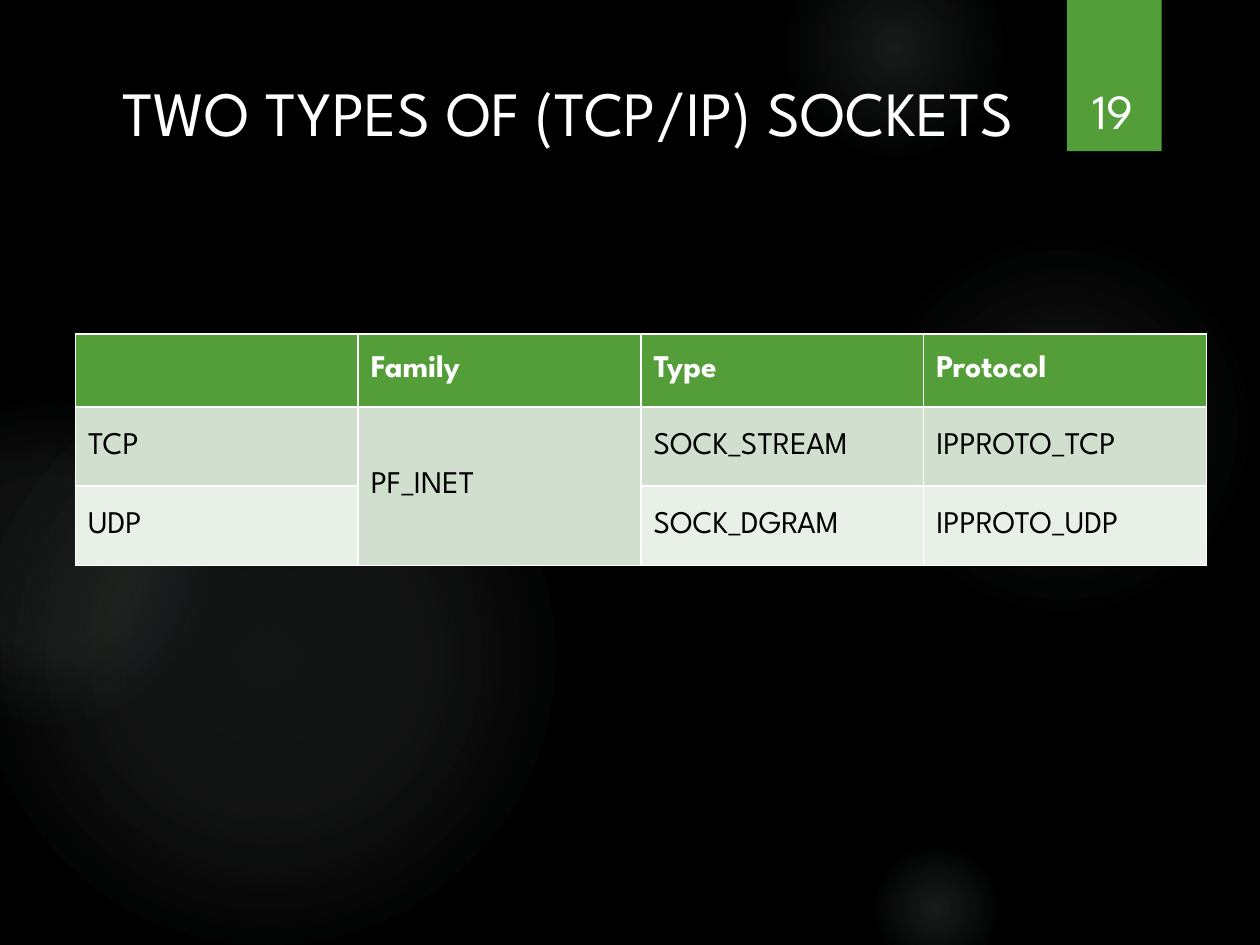
from lxml import etree
from pptx import Presentation
from pptx.dml.color import RGBColor
from pptx.enum.shapes import MSO_SHAPE
from pptx.enum.text import MSO_ANCHOR, PP_ALIGN
from pptx.oxml import parse_xml
from pptx.oxml.ns import nsdecls, qn
from pptx.util import Cm, Pt

# Content
TITLE = "TWO TYPES OF (TCP/IP) SOCKETS"
NUMBER = "19"
ROWS = [
    ["", "Family", "Type", "Protocol"],
    ["TCP", "PF_INET", "SOCK_STREAM", "IPPROTO_TCP"],
    ["UDP", "", "SOCK_DGRAM", "IPPROTO_UDP"],
]
# Glows: left, top, diameter in cm, then (position %, opacity %) stops
GLOWS = [
    (17.5, 4.65, 7.82, [(0, 7), (36, 6), (69, 0)]),
    (15.8, -1.27, 4.45, [(0, 14), (36, 7), (73, 0)]),
    (17.5, 16.94, 2.74, [(0, 14), (36, 7), (66, 0)]),
    (-0.43, 7.42, 11.63, [(0, 11), (36, 10), (75, 0)]),
    (-2.34, 8.05, 6.55, [(0, 8), (36, 8), (72, 0)]),
]

# Style
FONT = "League Spartan"
BLACK = RGBColor(0x00, 0x00, 0x00)
WHITE = RGBColor(0xFF, 0xFF, 0xFF)
GREEN = RGBColor(0x54, 0x9E, 0x39)
GLOW = RGBColor(0xAF, 0xC5, 0xB9)
ROW_FILLS = [GREEN, RGBColor(0xD1, 0xDF, 0xCE), RGBColor(0xE9, 0xF0, 0xE8)]
ROW_HEIGHTS = [1.47, 1.6, 1.6]
COL_WIDTH = 5.7


def add_run(tf, text, size, color, bold=False, align=None):
    p = tf.paragraphs[0]
    p.alignment = align
    r = p.add_run()
    r.text = text
    r.font.name, r.font.size, r.font.bold = FONT, Pt(size), bold
    r.font.color.rgb = color


def add_shape(slide, kind, *box):
    sp = slide.shapes.add_shape(kind, *map(Cm, box))
    sp.shadow.inherit = False
    sp.line.fill.background()
    return sp


def add_glow(slide, left, top, size, stops):
    sp = add_shape(slide, MSO_SHAPE.OVAL, left, top, size, size)
    gs = "".join(
        f'<a:gs pos="{pos * 1000}"><a:srgbClr val="{GLOW}">'
        f'<a:alpha val="{alpha * 1000}"/></a:srgbClr></a:gs>'
        for pos, alpha in stops)
    grad = parse_xml(
        f'<a:gradFill {nsdecls("a")}><a:gsLst>{gs}</a:gsLst><a:path path="circle">'
        '<a:fillToRect l="50000" t="50000" r="50000" b="50000"/></a:path></a:gradFill>')
    sp._element.spPr.find(qn("a:prstGeom")).addnext(grad)


def add_text(slide, box, text, size, anchor, bottom=0.13):
    tf = slide.shapes.add_textbox(*map(Cm, box)).text_frame
    tf.word_wrap = True
    tf.vertical_anchor = anchor
    tf.margin_top, tf.margin_bottom = 0, Cm(bottom)
    add_run(tf, text, size, WHITE, align=PP_ALIGN.CENTER)


def set_borders(cell):
    tc_pr = cell._tc.get_or_add_tcPr()
    for i, side in enumerate("LRTB"):
        tc_pr.insert(i, parse_xml(
            f'<a:ln{side} {nsdecls("a")} w="{Pt(1)}"><a:solidFill>'
            f'<a:srgbClr val="{WHITE}"/></a:solidFill></a:ln{side}>'))


def add_socket_table(slide):
    n_cols = len(ROWS[0])
    table = slide.shapes.add_table(
        len(ROWS), n_cols, Cm(1.52), Cm(6.73),
        Cm(COL_WIDTH * n_cols), Cm(sum(ROW_HEIGHTS))).table
    for col in table.columns:
        col.width = Cm(COL_WIDTH)
    for i, row in enumerate(ROWS):
        table.rows[i].height = Cm(ROW_HEIGHTS[i])
        header = i == 0
        for j, text in enumerate(row):
            cell = table.cell(i, j)
            cell.fill.solid()
            cell.fill.fore_color.rgb = ROW_FILLS[i]
            cell.vertical_anchor = MSO_ANCHOR.MIDDLE
            set_borders(cell)
            if text:
                add_run(cell.text_frame, text, 18, WHITE if header else BLACK, header)
    # Both protocols share one family
    table.cell(1, 1).merge(table.cell(2, 1))


prs = Presentation()
prs.slide_width, prs.slide_height = Cm(25.4), Cm(19.05)
slide = prs.slides.add_slide(prs.slide_layouts[6])
slide.background.fill.solid()
slide.background.fill.fore_color.rgb = BLACK

# Background glows
for glow in GLOWS:
    add_glow(slide, *glow)

# Green tab with a soft shadow
tab = add_shape(slide, MSO_SHAPE.RECTANGLE, 21.51, 0, 1.91, 3.05)
tab.fill.solid()
tab.fill.fore_color.rgb = GREEN
shadow = etree.SubElement(
    tab._element.spPr.find(qn("a:effectLst")), qn("a:outerShdw"),
    blurRad=str(Pt(3)), dist=str(Pt(2)), dir="5400000", rotWithShape="0")
shade = etree.SubElement(shadow, qn("a:srgbClr"), val=str(BLACK))
etree.SubElement(shade, qn("a:alpha"), val="45000")

# Table, title and slide number
add_socket_table(slide)
add_text(slide, (1.35, 1.27, 20.22, 3.89), TITLE, 36, MSO_ANCHOR.MIDDLE, bottom=1.95)
add_text(slide, (21.56, 0.81, 1.75, 2.13), NUMBER, 28, MSO_ANCHOR.BOTTOM)

prs.save("out.pptx")
